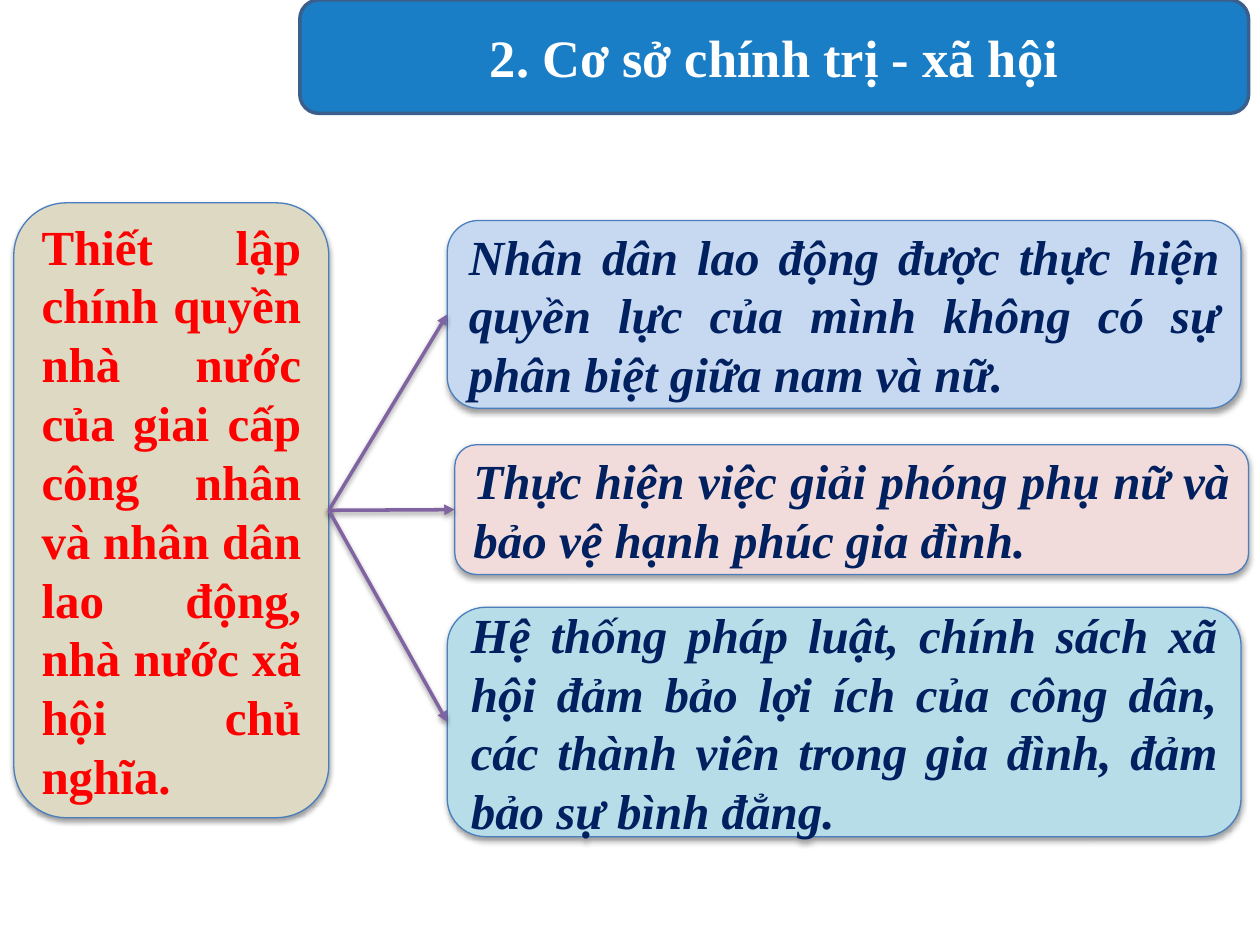
from lxml import etree
from pptx import Presentation
from pptx.dml.color import RGBColor
from pptx.enum.shapes import MSO_CONNECTOR, MSO_SHAPE
from pptx.enum.text import MSO_ANCHOR, MSO_AUTO_SIZE, PP_ALIGN
from pptx.oxml.ns import qn
from pptx.util import Inches, Pt

FONT = "Times New Roman"
NAVY = "002060"
BORDER = "4B7EBC"
TITLE_BOX = (2.38, 0, 7.53, 0.9)
CAUSE = ("Thiết lập chính quyền nhà nước của giai cấp công nhân "
         "và nhân dân lao động, nhà nước xã hội chủ nghĩa.")
RESULTS = [
    ((3.55, 1.75, 6.3, 1.49), "C6D9F1",
     "Nhân dân lao động được thực hiện quyền lực của mình "
     "không có sự phân biệt giữa nam và nữ."),
    ((3.61, 3.53, 6.3, 1.03), "F2DCDB",
     "Thực hiện việc giải phóng phụ nữ và bảo vệ hạnh phúc gia đình."),
    ((3.55, 4.82, 6.3, 1.82), "B7DEE8",
     "Hệ thống pháp luật, chính sách xã hội đảm bảo lợi ích của công dân, "
     "các thành viên trong gia đình, đảm bảo sự bình đẳng."),
]


def color(value):
    return RGBColor.from_string(value)


def add_sub(parent, tag, **attrs):
    return etree.SubElement(parent, qn(tag), attrs)


def set_alpha(clr, percent):
    add_sub(clr, "a:alpha", val=str(percent * 1000))


def add_shadow(effects):
    shadow = add_sub(effects, "a:outerShdw", blurRad=str(Pt(3.1)),
                     dist=str(Pt(1.6)), dir="5400000", rotWithShape="0")
    set_alpha(add_sub(shadow, "a:srgbClr", val="000000"), 38)


def write(tf, text, size, text_color, align, italic=None):
    tf.word_wrap = True
    tf.vertical_anchor = MSO_ANCHOR.MIDDLE
    p = tf.paragraphs[0]
    p.alignment = align
    r = p.add_run()
    r.text = text
    r.font.name, r.font.size = FONT, Pt(size)
    r.font.bold, r.font.italic = True, italic
    r.font.color.rgb = color(text_color)


def add_round_rect(slide, box, fill, line, width):
    sp = slide.shapes.add_shape(MSO_SHAPE.ROUNDED_RECTANGLE, *map(Inches, box))
    sp.shadow.inherit = False
    sp.fill.solid()
    sp.fill.fore_color.rgb = color(fill)
    sp.line.color.rgb = color(line)
    sp.line.width = Pt(width)
    return sp


def add_title(slide, text):
    # Slightly transparent bar behind the title
    bar = add_round_rect(slide, TITLE_BOX, "0070C0", "3A5F8C", 2)
    set_alpha(bar._element.spPr.find(f"{qn('a:solidFill')}/{qn('a:srgbClr')}"), 90)
    # Title placeholder, brought in front of the bar
    title = slide.shapes.title
    title.left, title.top, title.width, title.height = map(Inches, TITLE_BOX)
    bar._element.addnext(title._element)
    title.text_frame.auto_size = MSO_AUTO_SIZE.NONE
    write(title.text_frame, text, 30, "FFFFFF", PP_ALIGN.CENTER)


def add_card(slide, box, fill, text, text_color, italic=None):
    sp = add_round_rect(slide, box, fill, BORDER, 0.75)
    add_shadow(sp._element.spPr.find(qn("a:effectLst")))
    write(sp.text_frame, text, 28, text_color, PP_ALIGN.JUSTIFY, italic)
    return sp


def add_arrow(slide, source, target):
    arrow = slide.shapes.add_connector(MSO_CONNECTOR.STRAIGHT, 0, 0, 0, 0)
    arrow.begin_connect(source, 3)
    arrow.end_connect(target, 1)
    arrow.line.color.rgb = color("8064A2")
    arrow.line.width = Pt(2)
    add_sub(arrow.line._get_or_add_ln(), "a:tailEnd", type="triangle")
    add_shadow(add_sub(arrow._element.spPr, "a:effectLst"))


def main():
    prs = Presentation()
    prs.slide_width, prs.slide_height = Inches(10), Inches(7.5)
    slide = prs.slides.add_slide(prs.slide_layouts[5])
    add_title(slide, "2. Cơ sở chính trị - xã hội")

    # Cause on the left, results on the right
    cause = add_card(slide, (0.11, 1.61, 2.5, 4.88), "DDD9C3", CAUSE, "FF0000")
    results = [add_card(slide, box, fill, text, NAVY, italic=True)
               for box, fill, text in RESULTS]

    # Arrows from the cause to each result
    for result in results:
        add_arrow(slide, cause, result)
    prs.save("out.pptx")


if __name__ == "__main__":
    main()
